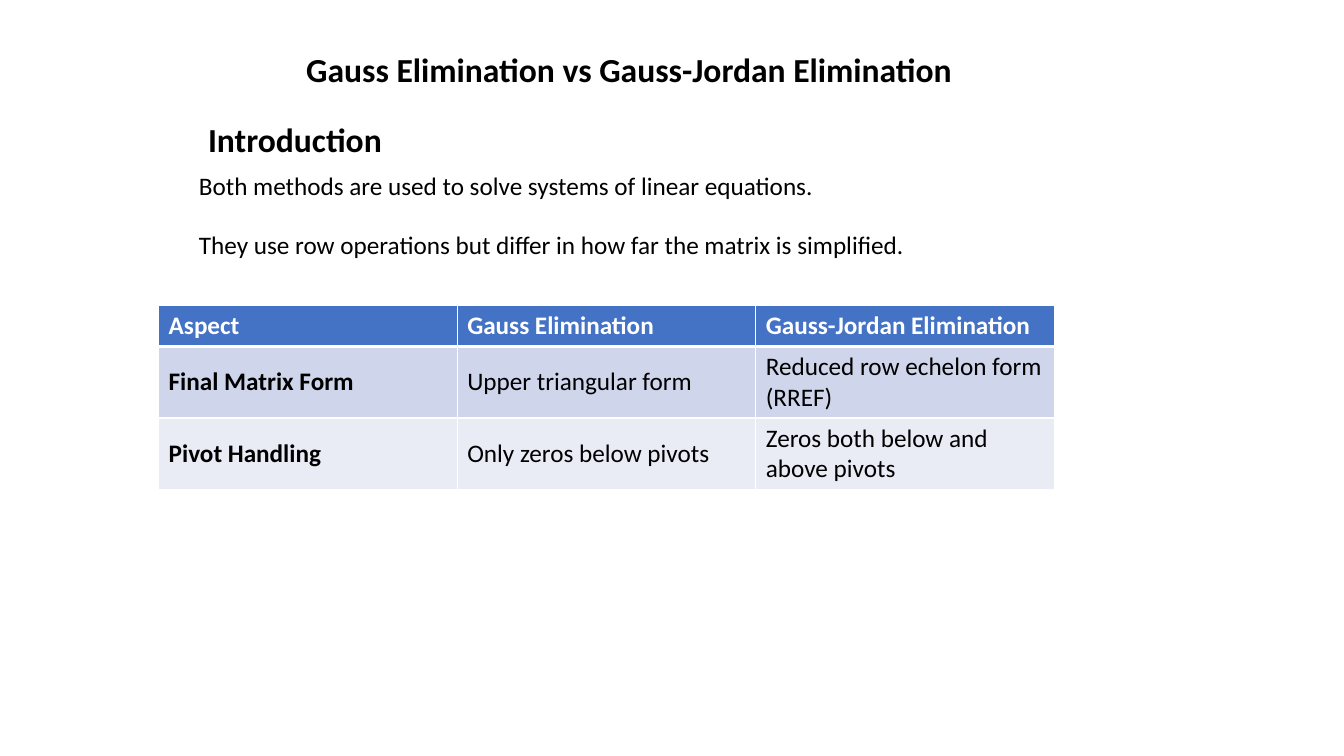
from pptx import Presentation
from pptx.dml.color import RGBColor
from pptx.enum.text import MSO_ANCHOR, MSO_AUTO_SIZE, PP_ALIGN
from pptx.oxml import parse_xml
from pptx.oxml.ns import nsdecls
from pptx.util import Pt

LEFT = PP_ALIGN.LEFT
TOP, MIDDLE = MSO_ANCHOR.TOP, MSO_ANCHOR.MIDDLE
NO_FIT = MSO_AUTO_SIZE.NONE

BLACK = RGBColor(0x00, 0x00, 0x00)
WHITE = RGBColor(0xFF, 0xFF, 0xFF)
HEADER_BLUE = RGBColor(0x44, 0x72, 0xC4)
BAND_DARK = RGBColor(0xCF, 0xD5, 0xEA)
BAND_LIGHT = RGBColor(0xE9, 0xEB, 0xF5)

TITLE_ONLY = 5
COMPARISON = [
    ["Aspect", "Gauss Elimination", "Gauss-Jordan Elimination"],
    ["Final Matrix Form", "Upper triangular form", "Reduced row echelon form (RREF)"],
    ["Pivot Handling", "Only zeros below pivots", "Zeros both below and above pivots"],
]


class SlideBuilder:
    font_name = "Calibri"
    heading_size = 24
    body_size = 18

    def __init__(self, deck):
        self.page = deck.slides.add_slide(deck.slide_layouts[TITLE_ONLY])

    def set_text(self, frame, lines, size, bold=False, color=BLACK, gap=0):
        frame.text = "\n".join(lines)
        for index, para in enumerate(frame.paragraphs):
            para.alignment = LEFT
            para.space_before = Pt(gap if index else 0)
            para.font.name = self.font_name
            para.font.size = Pt(size)
            para.font.bold = bold
            para.font.color.rgb = color

    def fill_box(self, box, lines, size, bold=False, gap=0):
        frame = box.text_frame
        frame.word_wrap = True
        frame.auto_size = NO_FIT
        frame.vertical_anchor = TOP
        self.set_text(frame, lines, size, bold, gap=gap)

    def title(self, text, left, top, width, height):
        box = self.page.shapes.title
        box.left, box.top, box.width, box.height = Pt(left), Pt(top), Pt(width), Pt(height)
        self.fill_box(box, [text], self.heading_size, bold=True)

    def heading(self, text, left, top, width, height):
        box = self.page.shapes.add_textbox(Pt(left), Pt(top), Pt(width), Pt(height))
        self.fill_box(box, [text], self.heading_size, bold=True)

    def body(self, lines, left, top, width, height, gap):
        box = self.page.shapes.add_textbox(Pt(left), Pt(top), Pt(width), Pt(height))
        self.fill_box(box, lines, self.body_size, gap=gap)

    def border(self, cell, side, width):
        cell._tc.get_or_add_tcPr().append(parse_xml(
            f'<a:ln{side} {nsdecls("a")} w="{Pt(width)}"><a:solidFill>'
            f'<a:srgbClr val="{WHITE}"/></a:solidFill></a:ln{side}>'))

    def table(self, rows, left, top, column_width, row_heights):
        columns = len(rows[0])
        table = self.page.shapes.add_table(
            len(rows), columns, Pt(left), Pt(top),
            Pt(column_width * columns), Pt(sum(row_heights))).table
        for column in table.columns:
            column.width = Pt(column_width)
        for row, height in zip(table.rows, row_heights):
            row.height = Pt(height)
        fills = [HEADER_BLUE, BAND_DARK, BAND_LIGHT]
        for row_index, texts in enumerate(rows):
            is_header = row_index == 0
            for column_index, text in enumerate(texts):
                cell = table.cell(row_index, column_index)
                self.border(cell, "L", 1)
                self.border(cell, "R", 1)
                self.border(cell, "T", 3 if row_index == 1 else 1)
                self.border(cell, "B", 3 if is_header else 1)
                cell.fill.solid()
                cell.fill.fore_color.rgb = fills[row_index]
                cell.vertical_anchor = MIDDLE
                self.set_text(cell.text_frame, [text], self.body_size,
                              bold=is_header or column_index == 0,
                              color=WHITE if is_header else BLACK)


def main():
    deck = Presentation()
    deck.slide_width, deck.slide_height = Pt(960), Pt(540)
    slide = SlideBuilder(deck)
    slide.title("Gauss Elimination vs Gauss-Jordan Elimination", 211.5, 31.5, 481, 58)
    slide.body(["Both methods are used to solve systems of linear equations.",
                "They use row operations but differ in how far the matrix is simplified."],
               135, 118, 525, 117, gap=21)
    slide.heading("Introduction", 141.5, 81.5, 140, 36)
    slide.table(COMPARISON, 113.3, 218.2, 213.3, [29.2, 50.4, 50.4])
    deck.save("out.pptx")


if __name__ == "__main__":
    main()
